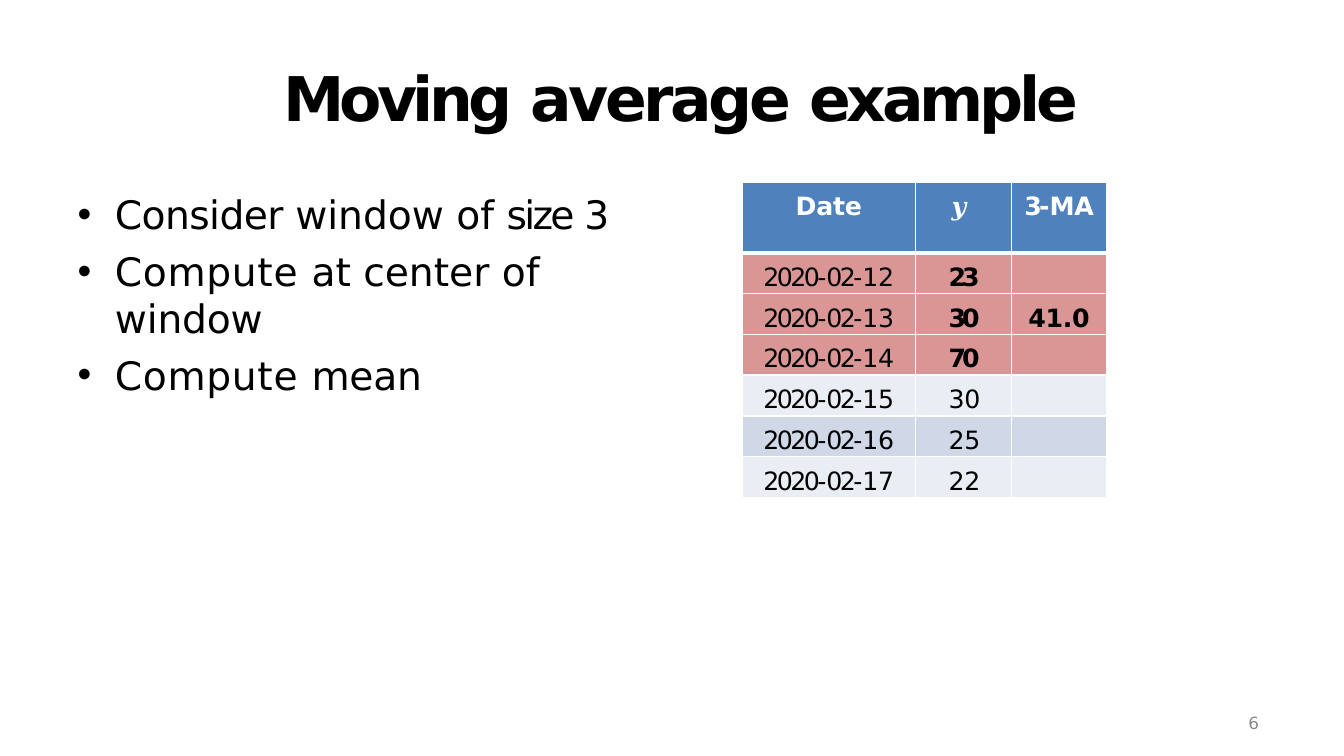
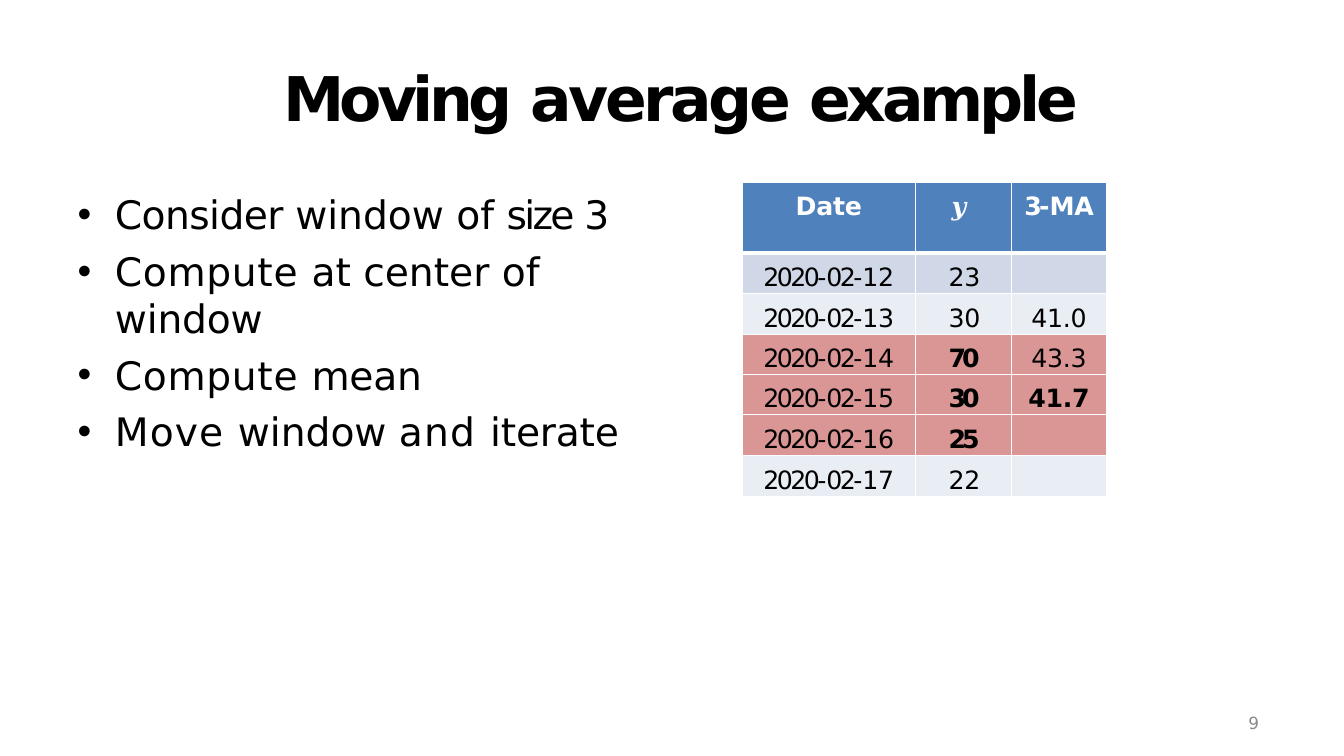
from pptx import Presentation
from pptx.dml.color import RGBColor
from pptx.enum.text import MSO_ANCHOR, MSO_AUTO_SIZE, PP_ALIGN
from pptx.oxml.ns import qn
from pptx.util import Inches, Pt
from lxml.etree import SubElement

FONT = "DejaVu Sans"
BLACK, WHITE, GRAY = "000000", "FFFFFF", "898989"
HEADER, WINDOW = "4F81BD", "D99694"
BANDS = ["D0D8E8", "E9EDF4"]

TITLE = [("Moving", -3.4), (" average ", -2.5), ("example", -3)]
BULLETS = [
    (0, [("Consider ", -0.4), ("window of ", 0), ("size ", -1.9), ("3", -0.5)]),
    (7.2, [("Compute ", 0.5), ("at center of ", 0), ("window", -0.1)]),
    (6.5, [("Compute ", 0.5), ("mean", -0.2)]),
    (6.5, [("Move ", 0.8), ("window ", 0), ("and ", 0.9), ("iterate", -0.1)]),
]
VALUES = [23, 30, 70, 30, 25, 22]
FIRST_DAY = 12
SIZE = 3
COLS = [1.72, 0.95, 0.95]
HEAD_H, ROW_H = 0.7, 0.4


def rgb(color):
    return RGBColor.from_string(color)


def add_text(p, text, size=18, color=BLACK, bold=False, font=FONT, spc=0):
    r = p.add_run()
    r.text = text
    r.font.size = Pt(size)
    r.font.name = font
    r.font.bold = bold
    r.font.color.rgb = rgb(color)
    r._r.get_or_add_rPr().set("spc", str(round(spc * 100)))


def add_runs(p, runs, **fmt):
    for text, spc in runs:
        add_text(p, text, spc=spc, **fmt)


def place(sp, box, top=0.03, left=0):
    sp.left, sp.top, sp.width, sp.height = [Inches(v) for v in box]
    tf = sp.text_frame
    tf.auto_size = MSO_AUTO_SIZE.NONE
    tf.word_wrap = True
    tf.vertical_anchor = MSO_ANCHOR.TOP
    tf.margin_left, tf.margin_top = Inches(left), Inches(top)
    tf.margin_right = tf.margin_bottom = 0
    return tf


def add_title(s, box):
    p = place(s.shapes.title, box, left=2.04).paragraphs[0]
    p.alignment = PP_ALIGN.LEFT
    add_runs(p, TITLE, size=44, bold=True)


def add_bullets(s, box, bullets):
    tf = place(s.placeholders[1], box, top=0.22)
    for i, (before, runs) in enumerate(bullets):
        p = tf.add_paragraph() if i else tf.paragraphs[0]
        pPr = p._p.get_or_add_pPr()
        pPr.set("marL", str(Inches(0.39)))
        pPr.set("indent", str(Inches(-0.37)))
        SubElement(pPr, qn("a:buChar")).set("char", "•")
        p.space_before = Pt(before)
        add_runs(p, runs, size=28)


def add_number(s, box, number):
    sp = s.shapes.add_textbox(0, 0, 0, 0)
    p = place(sp, box, left=0.04).paragraphs[0]
    add_text(p, str(number), size=12, color=GRAY, spc=-0.2)


def set_border(cell, side, width):
    ln = SubElement(cell._tc.get_or_add_tcPr(), qn(f"a:ln{side}"))
    ln.set("w", str(Pt(width)))
    fill = SubElement(ln, qn("a:solidFill"))
    SubElement(fill, qn("a:srgbClr")).set("val", WHITE)


def fill_cell(cell, runs, fill, top=1, bottom=1, left=None, **fmt):
    for side, width in zip("LRTB", (1, 1, top, bottom)):
        set_border(cell, side, width)
    cell.fill.solid()
    cell.fill.fore_color.rgb = rgb(fill)
    cell.margin_left = Inches(left or 0)
    cell.margin_right = cell.margin_bottom = 0
    cell.margin_top = Inches(0.1)
    p = cell.text_frame.paragraphs[0]
    p.alignment = PP_ALIGN.CENTER if left is None else PP_ALIGN.LEFT
    add_runs(p, runs, **fmt)


def add_averages(s, left, top, start):
    height = HEAD_H + ROW_H * len(VALUES)
    frame = s.shapes.add_table(len(VALUES) + 1, len(COLS), Inches(left),
                               Inches(top), Inches(sum(COLS)), Inches(height))
    tbl = frame.table
    for col, width in zip(tbl.columns, COLS):
        col.width = Inches(width)
    for i, row in enumerate(tbl.rows):
        row.height = Inches(ROW_H if i else HEAD_H)

    head = dict(fill=HEADER, bottom=3, color=WHITE)
    fill_cell(tbl.cell(0, 0), [("Date", -0.2)], bold=True, **head)
    fill_cell(tbl.cell(0, 1), [("𝒚", -0.5)], left=0.36, font="Cambria", **head)
    fill_cell(tbl.cell(0, 2), [("3-", -2), ("MA", -0.2)], bold=True, **head)

    center = start + SIZE // 2
    for i, value in enumerate(VALUES):
        inside = start <= i < start + SIZE
        look = dict(fill=WINDOW if inside else BANDS[i % 2], top=1 if i else 3)
        date = [("2020-", -1.8), ("02-", -1.9), (str(FIRST_DAY + i), -0.2)]
        mean = []
        if SIZE // 2 <= i <= center:
            first = i - SIZE // 2
            mean = [(f"{sum(VALUES[first:first + SIZE]) / SIZE:.1f}", -0.2)]
        fill_cell(tbl.cell(i + 1, 0), date, **look)
        fill_cell(tbl.cell(i + 1, 1), [(str(value), -3 if inside else -0.2)],
                  left=0.33, bold=inside, **look)
        fill_cell(tbl.cell(i + 1, 2), mean, bold=i == center, **look)


def add_example(prs, number, start, bullets):
    s = prs.slides.add_slide(prs.slide_layouts[1])
    add_number(s, (12.34, 7.04, 0.28, 0.23), number)
    add_title(s, (0.77, 0.56, 11.79, 0.69))
    add_bullets(s, (0.75, 1.67, 6.16, 2.27), bullets)
    add_averages(s, 7.36, 1.81, start)


def main():
    prs = Presentation()
    prs.slide_width, prs.slide_height = Inches(13.33), Inches(7.5)
    add_example(prs, 6, 0, BULLETS[:3])
    add_example(prs, 9, 2, BULLETS)
    prs.save("out.pptx")


if __name__ == "__main__":
    main()
